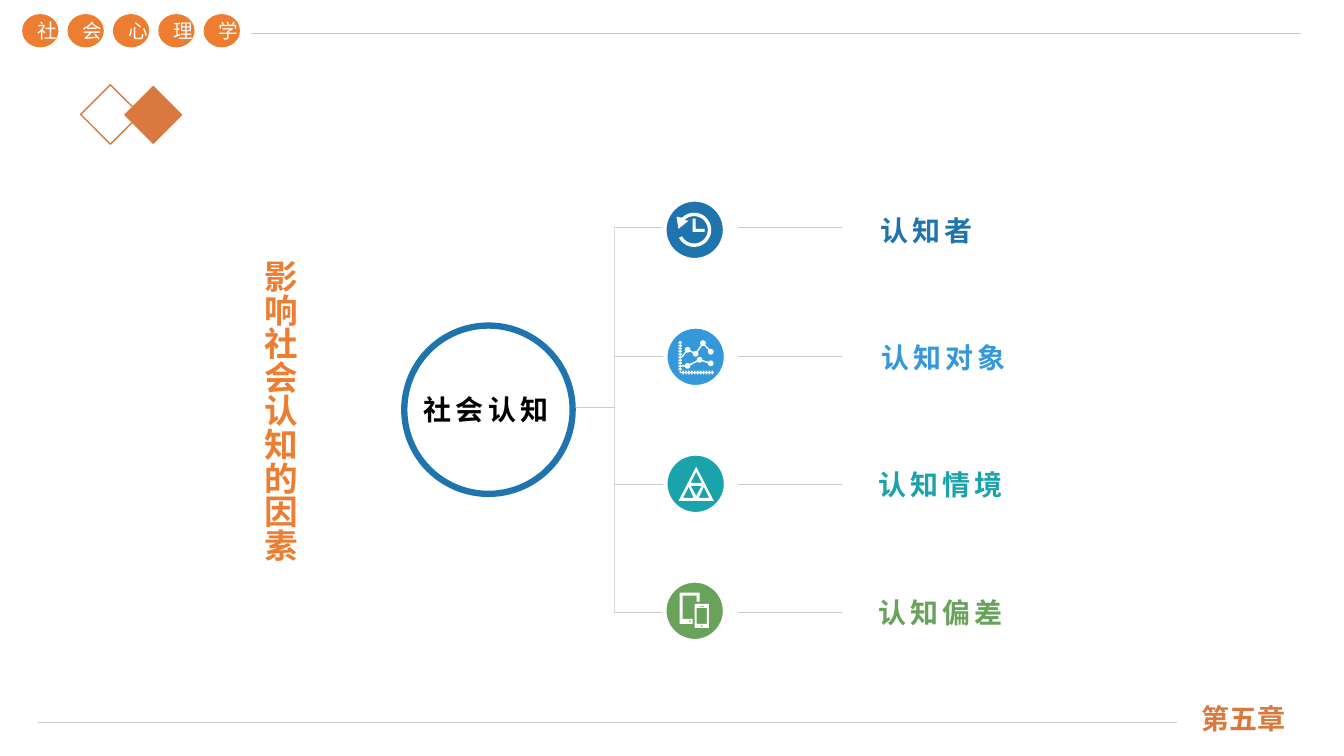
from math import asin, atan2, cos, degrees, radians, sin

from lxml.etree import SubElement
from pptx import Presentation
from pptx.dml.color import RGBColor
from pptx.enum.shapes import MSO_CONNECTOR, MSO_SHAPE
from pptx.enum.text import MSO_ANCHOR as ANCHOR, MSO_AUTO_SIZE, PP_ALIGN as ALIGN
from pptx.oxml.ns import qn
from pptx.util import Inches, Pt

CELL = Inches(0.1)  # the slide is a grid of 133.3 columns by 75 rows
FINE = 1000  # freeform steps in one cell
SANS = "Noto Sans CJK SC"
ORANGE, RUST, BLUE, WHITE = "ED7D31", "D9793F", "1F74AD", "FFFFFF"
BRANCH_GREY, RULE_GREY = "CCCCCC", "C9C9C9"


def cells(*lengths):
    return [round(length * CELL) for length in lengths]


def color(hex_string):
    return RGBColor.from_string(hex_string)


def paint(shape, fill=None, line=None, weight=1):
    shape.shadow.inherit = False
    if fill:
        shape.fill.solid()
        shape.fill.fore_color.rgb = color(fill)
    else:
        shape.fill.background()
    if line:
        shape.line.color.rgb = color(line)
        shape.line.width = Pt(weight)
    else:
        shape.line.fill.background()


def add_preset(slide, kind, box, **look):
    shape = slide.shapes.add_shape(kind, *cells(*box))
    paint(shape, **look)
    return shape


def add_rule(slide, start, end, hue=BRANCH_GREY, weight=0.5):
    rule = slide.shapes.add_connector(MSO_CONNECTOR.STRAIGHT, *cells(*start, *end))
    rule.line.color.rgb = color(hue)
    rule.line.width = Pt(weight)
    SubElement(rule._element.spPr, qn("a:effectLst"))


def write(shape, text, size=20, hue=WHITE, font=SANS, bold=True, align=None,
          anchor=ANCHOR.TOP, line_spacing=None, tracking=0, bottom=0.05):
    frame = shape.text_frame
    frame.word_wrap = True
    frame.vertical_anchor = anchor
    frame.margin_bottom = Inches(bottom)
    paragraph = frame.paragraphs[0]
    paragraph.alignment = align
    if line_spacing:
        paragraph.line_spacing = line_spacing
    run = paragraph.add_run()
    run.text = text
    run.font.size, run.font.bold, run.font.name = Pt(size), bold, font
    run.font.color.rgb = color(hue)
    properties = run._r.get_or_add_rPr()
    SubElement(properties, qn("a:ea"), typeface=font)
    if tracking:
        properties.set("spc", str(tracking * 100))
    return frame


def add_text(slide, box, text, **style):
    return write(slide.shapes.add_textbox(*cells(*box)), text, **style)


def rect(x, y, w, h):
    return [(x, y), (x + w, y), (x + w, y + h), (x, y + h)]


def arc(x, y, radius, start, end, steps=24):
    turns = [radians(start + (end - start) * i / steps) for i in range(steps + 1)]
    return [(x + radius * cos(t), y + radius * sin(t)) for t in turns]


def beaded_line(nodes, half=0.07):
    """Outline of a line with a round bead of its own radius at each (x, y, radius)."""
    walk = nodes + nodes[-2:0:-1]
    outline = []
    for i, (x, y, radius) in enumerate(walk):
        before, after = walk[i - 1], walk[(i + 1) % len(walk)]
        back, ahead = [degrees(atan2(n[1] - y, n[0] - x)) for n in (before, after)]
        gap = degrees(asin(half / radius))
        sweep = (ahead - back) % 360 or 360
        outline += arc(x, y, radius, back + gap, back + sweep - gap)
    return outline


def clock_icon():
    x, y, start, end = 2.95, 3, 152, -135
    arrow = [(1.2, 1.7), (1.4, 2.9), (2.4, 2.1)]
    ring = arc(x, y, 1.7, start, end) + arrow + arc(x, y, 1.36, end, start)
    hands = [(2.8, 1.9), (3.1, 1.9), (3.1, 2.9), (4, 2.9), (4, 3.2), (2.8, 3.2)]
    return [ring, hands]


def chart_icon():
    left, bottom, thick, step, bead = 1.4, 4.5, 0.12, 0.29, 0.28
    axes = [rect(left, 1.4, thick, bottom - 1.4),
            rect(left, bottom, 3.4, thick)]
    for side in (-thick, thick):
        axes += [rect(left + side, 1.53 + step * i, thick, 0.14) for i in range(10)]
        axes += [rect(1.68 + step * i, bottom + side, 0.14, thick) for i in range(11)]
    upper = [(1.7, 2.95, 0.08), (2.2, 2.3, bead), (3, 2.7, bead),
             (3.73, 1.65, bead), (4.5, 2.5, bead)]
    lower = [(1.7, 3.9, 0.08), (2.2, 3.9, bead), (3.4, 3.3, bead), (4.5, 3.65, bead)]
    return axes + [beaded_line(upper), beaded_line(lower)]


def pyramid_icon():
    return [[(3.05, 1.3), (1.3, 4.7), (4.8, 4.7)],
            [(3.05, 1.8), (3.6, 2.9), (2.5, 2.9)],
            [(1.75, 4.4), (2.3, 3.3), (2.8, 4.4)],
            [(2.5, 3.2), (3.6, 3.2), (3.05, 4.2)],
            [(3.8, 3.3), (4.35, 4.4), (3.3, 4.4)]]


def devices_icon():
    tablet = [(1.5, 1.2), (3.5, 1.2), (3.5, 2.1), (3.2, 2.1), (3.2, 1.5),
              (1.8, 1.5), (1.8, 3.8), (2.8, 3.8), (2.8, 4.3), (1.5, 4.3)]
    phone, screen = rect(3, 2.3, 1.4, 2.4), rect(3.2, 2.7, 1, 1.6)
    buttons = [rect(2.45, 3.95, 0.15, 0.15), rect(3.62, 4.45, 0.15, 0.15)]
    return [tablet, phone, screen, rect(3.5, 2.5, 0.4, 0.08)] + buttons


def add_icon(slide, left, top, contours):
    first, *others = [[(x * FINE, y * FINE) for x, y in c] for c in contours]
    builder = slide.shapes.build_freeform(*first[0], scale=CELL / FINE)
    builder.add_line_segments(first[1:], close=True)
    for contour in others:
        builder.move_to(*contour[0])
        builder.add_line_segments(contour[1:], close=True)
    paint(builder.convert_to_shape(*cells(left, top)), fill=WHITE)


def add_branch(slide, row, label, hue, contours, disc_left, label_left):
    y = 22.6 + 12.73 * row
    top = 19.8 + 12.6 * row
    add_rule(slide, (60.9, y), (69.4, y))
    add_rule(slide, (73.2, y), (83.5, y))
    add_preset(slide, MSO_SHAPE.OVAL, (disc_left, top, 6, 6),
               fill=hue, line=WHITE, weight=3)
    add_icon(slide, disc_left, top, contours)
    add_text(slide, (label_left, 19.3 + 12.63 * row, 34.1, 5.2), label, hue=hue,
             anchor=ANCHOR.BOTTOM, line_spacing=1.2, tracking=3, bottom=0)


def add_frame(slide):
    """Course name, chapter and the rules at the slide's top and bottom."""
    add_preset(slide, MSO_SHAPE.DIAMOND, (8, 8.4, 5.9, 5.9), line=RUST)
    add_preset(slide, MSO_SHAPE.DIAMOND, (12.3, 8.5, 5.8, 5.8), fill=RUST)
    add_rule(slide, (3.8, 71.7), (116.7, 71.7), RULE_GREY, 1)
    add_rule(slide, (24.9, 3.3), (129, 3.3), RULE_GREY, 1)
    add_text(slide, (118.2, 69.4, 15, 4), "第五章", hue=RUST,
             font="Noto Sans CJK JP", anchor=ANCHOR.BOTTOM)
    for column, letter in enumerate("社会心理学"):
        disc = add_preset(slide, MSO_SHAPE.OVAL,
                          (2.2 + 4.5 * column, 1.4, 3.6, 3.3), fill=ORANGE)
        write(disc, letter, size=14, bold=False, align=ALIGN.CENTER,
              anchor=ANCHOR.MIDDLE)


def add_hub(slide):
    add_rule(slide, (57.1, 40.4), (60.9, 40.4))
    add_preset(slide, MSO_SHAPE.OVAL, (40.1, 32.3, 16.7, 16.7),
               fill=WHITE, line=BLUE, weight=4.5)
    add_text(slide, (37.8, 37.8, 20.8, 6), "社会认知", hue="000000",
             align=ALIGN.CENTER, line_spacing=1.2, tracking=3)
    add_rule(slide, (60.9, 22.7), (60.9, 60.8), "D9D9D9")


def main():
    deck = Presentation()
    deck.slide_width, deck.slide_height = Inches(13.33), Inches(7.5)
    slide = deck.slides.add_slide(deck.slide_layouts[6])
    add_frame(slide)
    add_hub(slide)
    branches = [("认知者", BLUE, clock_icon(), 65.9, 86.3),
                ("认知对象", "3498DB", chart_icon(), 66, 86.4),
                ("认知情境", "1AA3AA", pyramid_icon(), 66, 86.1),
                ("认知偏差", "69A35B", devices_icon(), 65.9, 86.1)]
    for row, branch in enumerate(branches):
        add_branch(slide, row, *branch)
    title = add_text(slide, (24.3, 24.8, 6, 38.9), "影响社会认知的因素",
                     size=24, hue=ORANGE)
    title.auto_size = MSO_AUTO_SIZE.SHAPE_TO_FIT_TEXT
    title._txBody.bodyPr.set("vert", "eaVert")
    deck.save("out.pptx")


if __name__ == "__main__":
    main()
